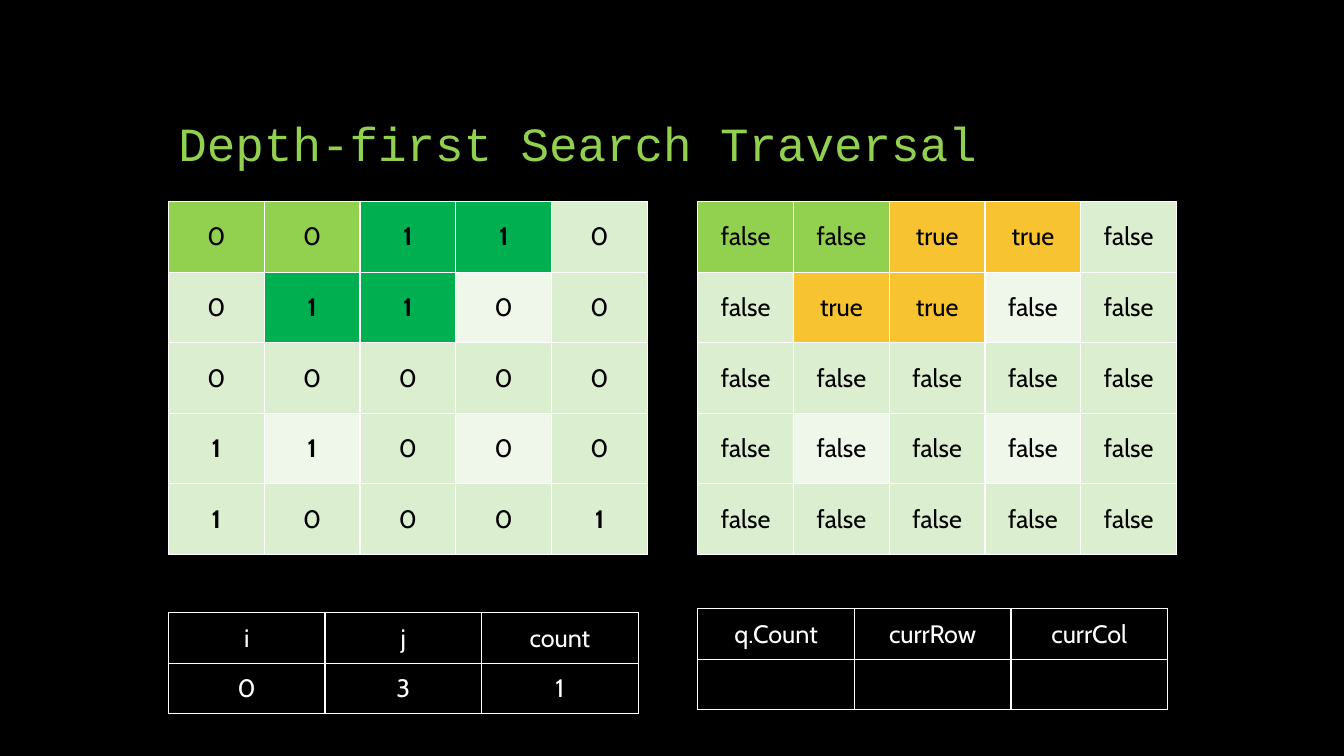
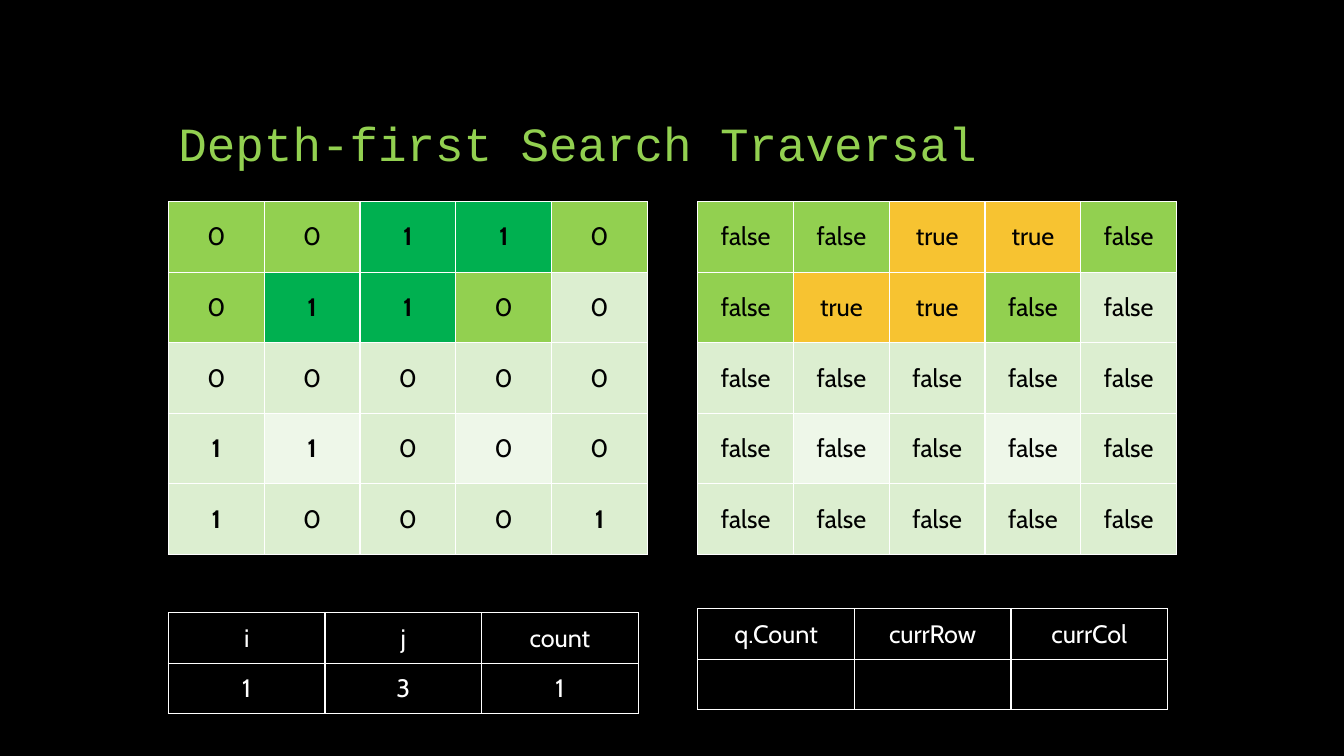
from lxml import etree
from pptx import Presentation
from pptx.dml.color import RGBColor
from pptx.enum.text import MSO_ANCHOR, PP_ALIGN
from pptx.oxml import parse_xml
from pptx.util import Inches, Pt

MIDDLE, BOTTOM = MSO_ANCHOR.MIDDLE, MSO_ANCHOR.BOTTOM
LEFT, CENTER = PP_ALIGN.LEFT, PP_ALIGN.CENTER
NS = "http://schemas.openxmlformats.org/drawingml/2006/main"

BLACK, WHITE = "000000", "FFFFFF"
LIME, GREEN, GOLD = "92D050", "00B050", "F7C331"
PALE, FAINT = "DCEED0", "EEF7E9"
COL_A, COL_B = 1.67, 6.92

GRID = ["00110", "01100", "00000", "11000", "10001"]
ISLE = {(0, 2), (0, 3), (1, 1), (1, 2)}
FLAGS = [["true" if (r, c) in ISLE else "false" for c in range(5)]
         for r in range(5)]
START = {(0, 0), (0, 1)}
STEPS = [
    (START, ["0", "3", "1"]),
    (START | {(0, 4), (1, 0), (1, 3)}, ["1", "3", "1"]),
]


def color(code):
    return RGBColor.from_string(code)


def style(para, face, size, code, align, bold=False):
    para.alignment = align
    font = para.font
    font.name, font.size, font.bold = face, Pt(size), bold
    font.color.rgb = color(code)


def border(cell):
    props = cell._tc.get_or_add_tcPr()
    for spot, side in enumerate(("lnL", "lnR", "lnT", "lnB")):
        line = parse_xml(f'<a:{side} xmlns:a="{NS}" w="{Pt(1)}"/>')
        solid = etree.SubElement(line, f"{{{NS}}}solidFill")
        etree.SubElement(solid, f"{{{NS}}}srgbClr", val=WHITE)
        props.insert(spot, line)


def add_title(slide, text):
    title = slide.shapes.title
    title.left, title.top = Inches(COL_A), Inches(0.5)
    title.width, title.height = Inches(10), Inches(1.25)
    frame = title.text_frame
    frame.text = text
    frame.vertical_anchor = BOTTOM
    para = frame.paragraphs[0]
    para.line_spacing = 0.9
    style(para, "Courier New", 34, LIME, LEFT)


def add_table(slide, rows, box, ink, tint=None, strong=None):
    shape = slide.shapes.add_table(len(rows), len(rows[0]), *map(Inches, box))
    table = shape.table
    table.first_row = table.horz_banding = False
    for r, row in enumerate(rows):
        for c, text in enumerate(row):
            cell = table.cell(r, c)
            cell.text = text
            cell.vertical_anchor = MIDDLE
            style(cell.text_frame.paragraphs[0], "Cabin", 18, ink, CENTER,
                  text == strong)
            if tint:
                cell.fill.solid()
                cell.fill.fore_color.rgb = color(tint(r, c))
            else:
                cell.fill.background()
            border(cell)


def add_grid(slide, rows, left, seen, mark):
    def tint(r, c):
        if (r, c) in ISLE:
            return mark
        if (r, c) in seen:
            return LIME
        return FAINT if r % 2 and c % 2 else PALE

    add_table(slide, rows, (left, 2, 4.75, 3.5), BLACK, tint, "1")


def add_state(slide, heads, vals, left, top):
    add_table(slide, [heads, vals], (left, top, 4.66, 1), WHITE)


def add_step(deck, seen, vals):
    slide = deck.slides.add_slide(deck.slide_layouts[5])
    add_title(slide, "Depth-first Search Traversal")
    add_grid(slide, GRID, COL_A, seen, GREEN)
    add_grid(slide, FLAGS, COL_B, seen, GOLD)
    add_state(slide, ["i", "j", "count"], vals, COL_A, 6.08)
    add_state(slide, ["q.Count", "currRow", "currCol"], [""] * 3, COL_B, 6.04)


def main():
    deck = Presentation()
    deck.slide_width, deck.slide_height = Inches(13.33), Inches(7.5)
    fill = deck.slide_master.background.fill
    fill.solid()
    fill.fore_color.rgb = color(BLACK)
    for seen, vals in STEPS:
        add_step(deck, seen, vals)
    deck.save("out.pptx")


if __name__ == "__main__":
    main()
